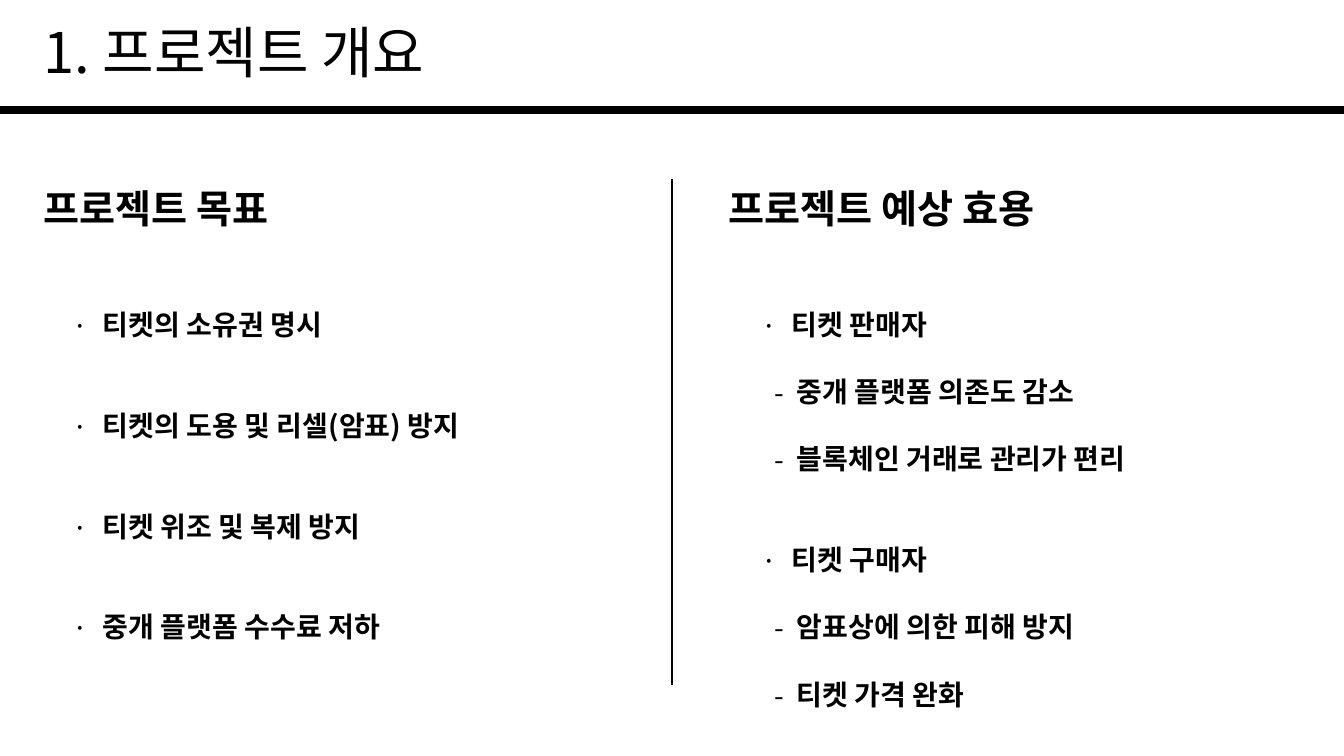
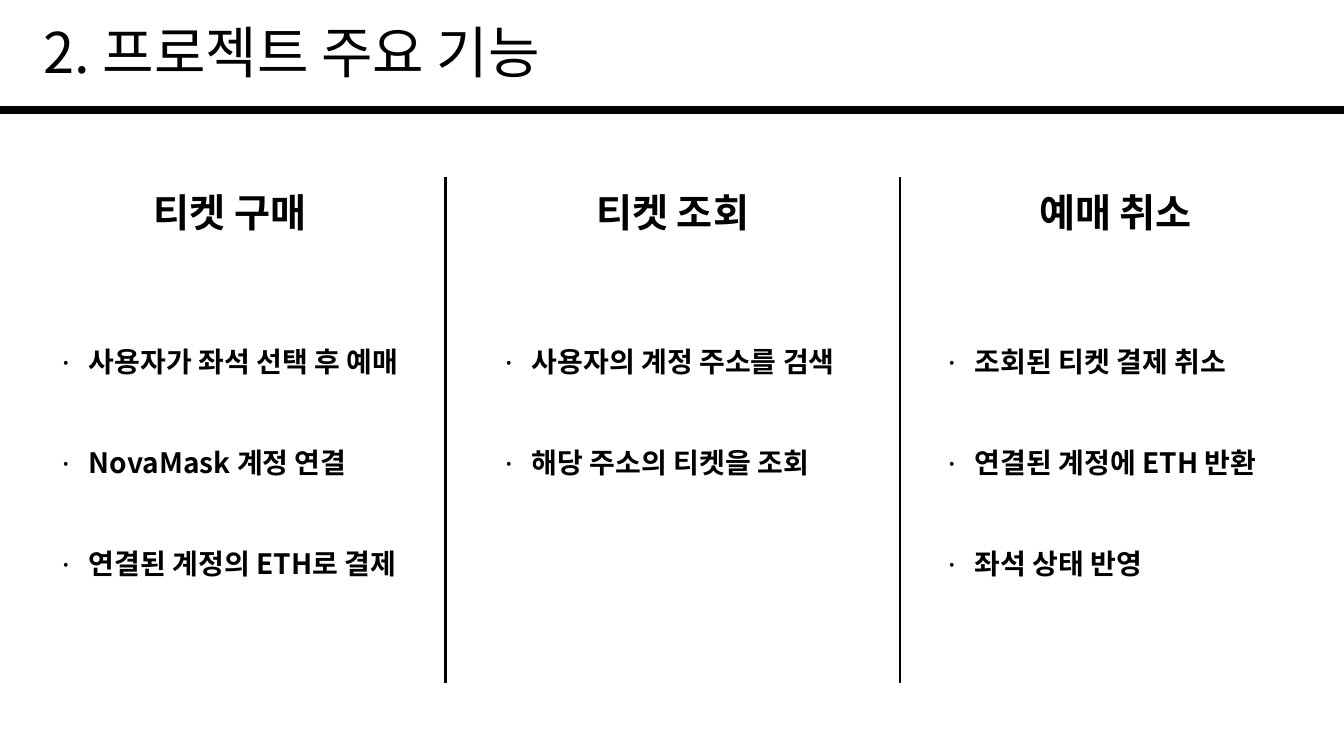
from copy import deepcopy
from dataclasses import dataclass

from lxml import etree
from pptx import Presentation
from pptx import util as u
from pptx.dml.color import RGBColor
from pptx.enum import shapes, text
from pptx.oxml import ns

BLACK = RGBColor(0x00, 0x00, 0x00)
FONT = "Noto Sans CJK KR"
PAGE_WIDTH, PAGE_HEIGHT = 960, 540
COMPARISON_LAYOUT = 4
LINE_FACTOR = 1.2
ITEM_SIZE = 20
ITEM_LINE = ITEM_SIZE * LINE_FACTOR


@dataclass(frozen=True)
class Box:
    left: float
    top: float
    width: float
    height: float


@dataclass(frozen=True)
class Style:
    size: float
    bold: bool = True
    align: text.PP_ALIGN = text.PP_ALIGN.LEFT
    bullet: str = ""
    margin: float = 0
    hanging: float = 0
    space: float = 0


@dataclass(frozen=True)
class Line:
    words: str
    style: Style


@dataclass(frozen=True)
class Column:
    heading: Line
    heading_box: Box
    items: list[Line]
    items_box: Box


@dataclass(frozen=True)
class Page:
    title: str
    columns: list[Column]
    dividers: list[float]
    divider_top: float


TITLE = Style(40, bold=False)
HEADING = Style(28)
CENTERED_HEADING = Style(28, align=text.PP_ALIGN.CENTER)
ITEM = Style(ITEM_SIZE, bullet="·", margin=21.5, hanging=21.5, space=2 * ITEM_LINE)
DETAIL = Style(ITEM_SIZE, bullet="-", margin=25, hanging=16, space=ITEM_LINE)

TITLE_BOX = Box(24, 8.6, 900, 55.4)
TITLE_RULE_Y = 78.5
DIVIDER_LENGTH = 361.5


def goal_columns() -> list[Column]:
    goals = ["티켓의 소유권 명시", "티켓의 도용 및 리셀(암표) 방지",
             "티켓 위조 및 복제 방지", "중개 플랫폼 수수료 저하"]
    benefits = {
        "티켓 판매자": ["중개 플랫폼 의존도 감소", "블록체인 거래로 관리가 편리"],
        "티켓 구매자": ["암표상에 의한 피해 방지", "티켓 가격 완화"],
    }
    benefit_lines: list[Line] = []
    for party, details in benefits.items():
        benefit_lines.append(Line(party, ITEM))
        benefit_lines += [Line(detail, DETAIL) for detail in details]
    return [
        Column(Line("프로젝트 목표", HEADING), Box(24, 128, 366, 41),
               [Line(goal, ITEM) for goal in goals], Box(44.8, 216, 369, 274)),
        Column(Line("프로젝트 예상 효용", HEADING), Box(513.4, 128, 366, 41),
               benefit_lines, Box(537, 216, 369, 322)),
    ]


def feature_columns() -> list[Column]:
    features = {
        "티켓 구매": ["사용자가 좌석 선택 후 예매", "NovaMask 계정 연결", "연결된 계정의 ETH로 결제"],
        "티켓 조회": ["사용자의 계정 주소를 검색", "해당 주소의 티켓을 조회"],
        "예매 취소": ["조회된 티켓 결제 취소", "연결된 계정에 ETH 반환", "좌석 상태 반영"],
    }
    pitch, inset = 316.4, 10.8
    return [
        Column(Line(feature, CENTERED_HEADING), Box(24 + i * pitch, 131, 280, 41),
               [Line(step, ITEM) for step in steps],
               Box(24 + i * pitch + inset, 242.6, 258.4, 225))
        for i, (feature, steps) in enumerate(features.items())
    ]


PAGES = [
    Page("1. 프로젝트 개요", goal_columns(), [480], 128),
    Page("2. 프로젝트 주요 기능", feature_columns(), [318.2, 643], 126.5),
]


def add_third_column(layout) -> None:
    sources = [p for p in layout.placeholders if p.placeholder_format.idx in (1, 2)]
    for new_idx, source in enumerate(sources, start=21):
        twin = deepcopy(source.element)
        twin.find(".//" + ns.qn("p:cNvPr")).set("id", str(new_idx))
        twin.find(".//" + ns.qn("p:ph")).set("idx", str(new_idx))
        layout.shapes.element.append(twin)


def set_bullet(paragraph, style: Style) -> None:
    properties = paragraph._p.get_or_add_pPr()
    properties.set("marL", str(u.Pt(style.margin)))
    properties.set("indent", str(-u.Pt(style.hanging)))
    if style.bullet:
        etree.SubElement(properties, ns.qn("a:buFont")).set("typeface", FONT)
        etree.SubElement(properties, ns.qn("a:buChar")).set("char", style.bullet)
    else:
        etree.SubElement(properties, ns.qn("a:buNone"))


def write_line(paragraph, line: Line, first: bool) -> None:
    style = line.style
    set_bullet(paragraph, style)
    paragraph.alignment = style.align
    paragraph.line_spacing = u.Pt(style.size * LINE_FACTOR)
    paragraph.space_before = u.Pt(0 if first else style.space)
    paragraph.space_after = u.Pt(0)
    run = paragraph.add_run()
    run.text = line.words
    run.font.name = FONT
    run.font.size = u.Pt(style.size)
    run.font.bold = style.bold
    run.font.color.rgb = BLACK
    east_asian = etree.Element(ns.qn("a:ea"), typeface=FONT)
    run.font._element.find(ns.qn("a:latin")).addnext(east_asian)


def fill_placeholder(placeholder, box: Box, lines: list[Line]) -> None:
    placeholder.left, placeholder.top = u.Pt(box.left), u.Pt(box.top)
    placeholder.width, placeholder.height = u.Pt(box.width), u.Pt(box.height)
    frame = placeholder.text_frame
    frame.word_wrap = True
    frame.auto_size = text.MSO_AUTO_SIZE.NONE
    frame.vertical_anchor = text.MSO_ANCHOR.TOP
    for i, line in enumerate(lines):
        paragraph = frame.add_paragraph() if i else frame.paragraphs[0]
        write_line(paragraph, line, first=i == 0)


def draw_rule(slide, x1: float, y1: float, x2: float, y2: float, weight: float) -> None:
    rule = slide.shapes.add_connector(
        shapes.MSO_CONNECTOR.STRAIGHT, u.Pt(x1), u.Pt(y1), u.Pt(x2), u.Pt(y2))
    rule.line.color.rgb = BLACK
    rule.line.width = u.Pt(weight)
    etree.SubElement(rule._element.spPr, ns.qn("a:effectLst"))


def draw_page(deck, layout, page: Page) -> None:
    slide = deck.slides.add_slide(layout)
    draw_rule(slide, 0, TITLE_RULE_Y, PAGE_WIDTH, TITLE_RULE_Y, 6)
    fill_placeholder(slide.shapes.title, TITLE_BOX, [Line(page.title, TITLE)])
    for x in page.dividers:
        draw_rule(slide, x, page.divider_top, x, page.divider_top + DIVIDER_LENGTH, 1.5)
    slots = [p for p in slide.placeholders if p.placeholder_format.idx]
    for i, column in enumerate(page.columns):
        fill_placeholder(slots[2 * i], column.heading_box, [column.heading])
        fill_placeholder(slots[2 * i + 1], column.items_box, column.items)
    for unused in slots[2 * len(page.columns):]:
        unused.element.getparent().remove(unused.element)


def main() -> None:
    deck = Presentation()
    deck.slide_width, deck.slide_height = u.Pt(PAGE_WIDTH), u.Pt(PAGE_HEIGHT)
    layout = deck.slide_layouts[COMPARISON_LAYOUT]
    add_third_column(layout)
    for page in PAGES:
        draw_page(deck, layout, page)
    deck.save("out.pptx")


if __name__ == "__main__":
    main()
